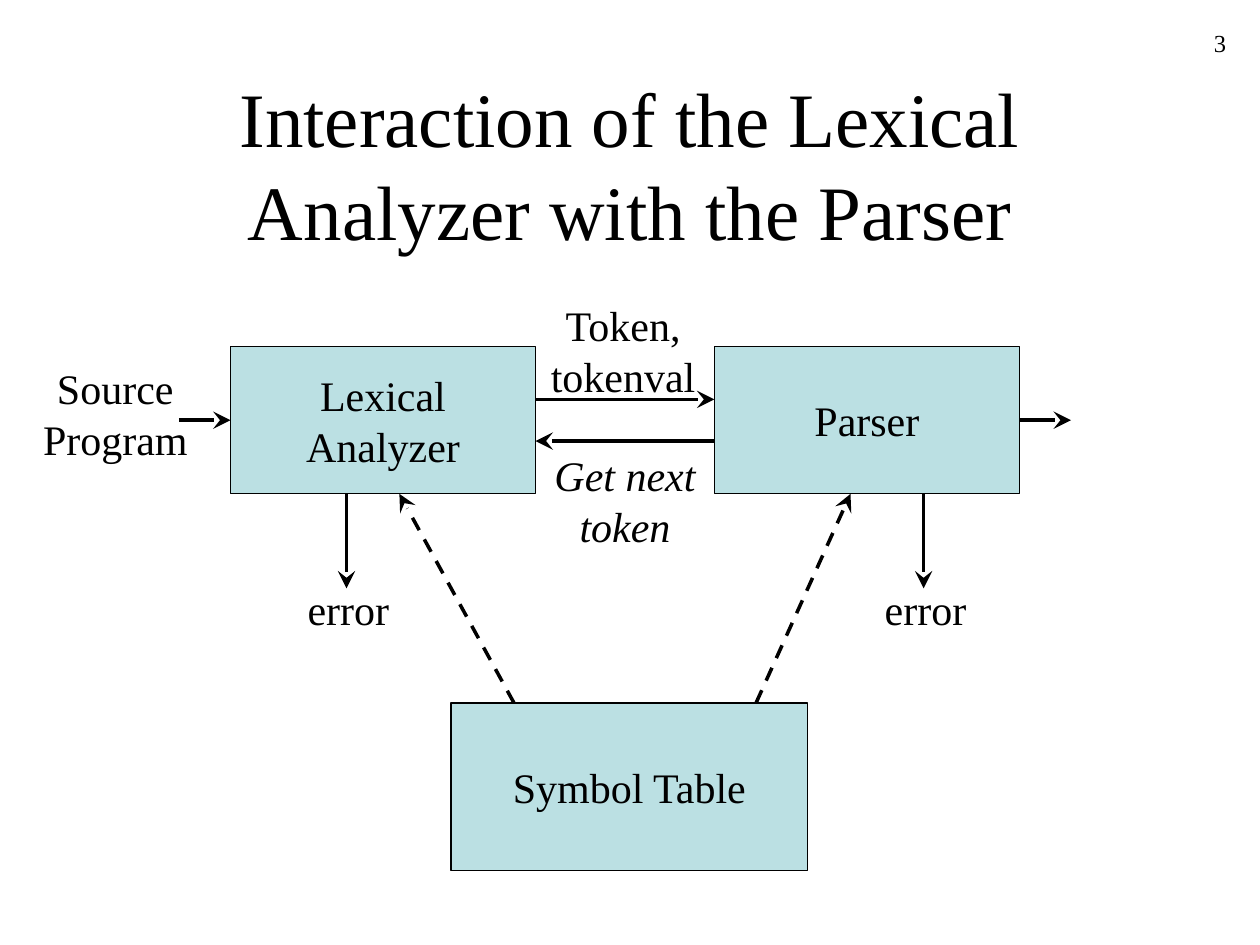
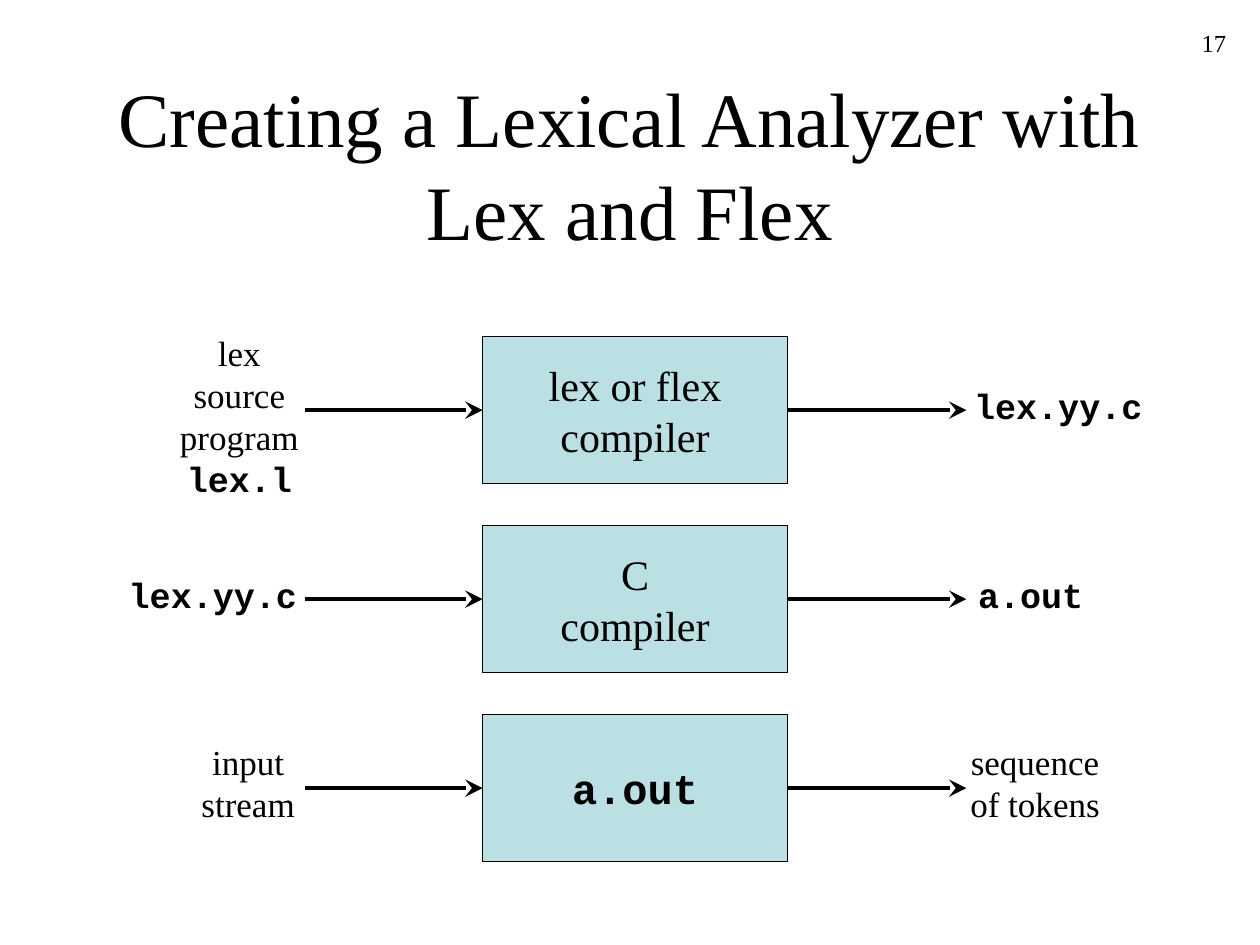
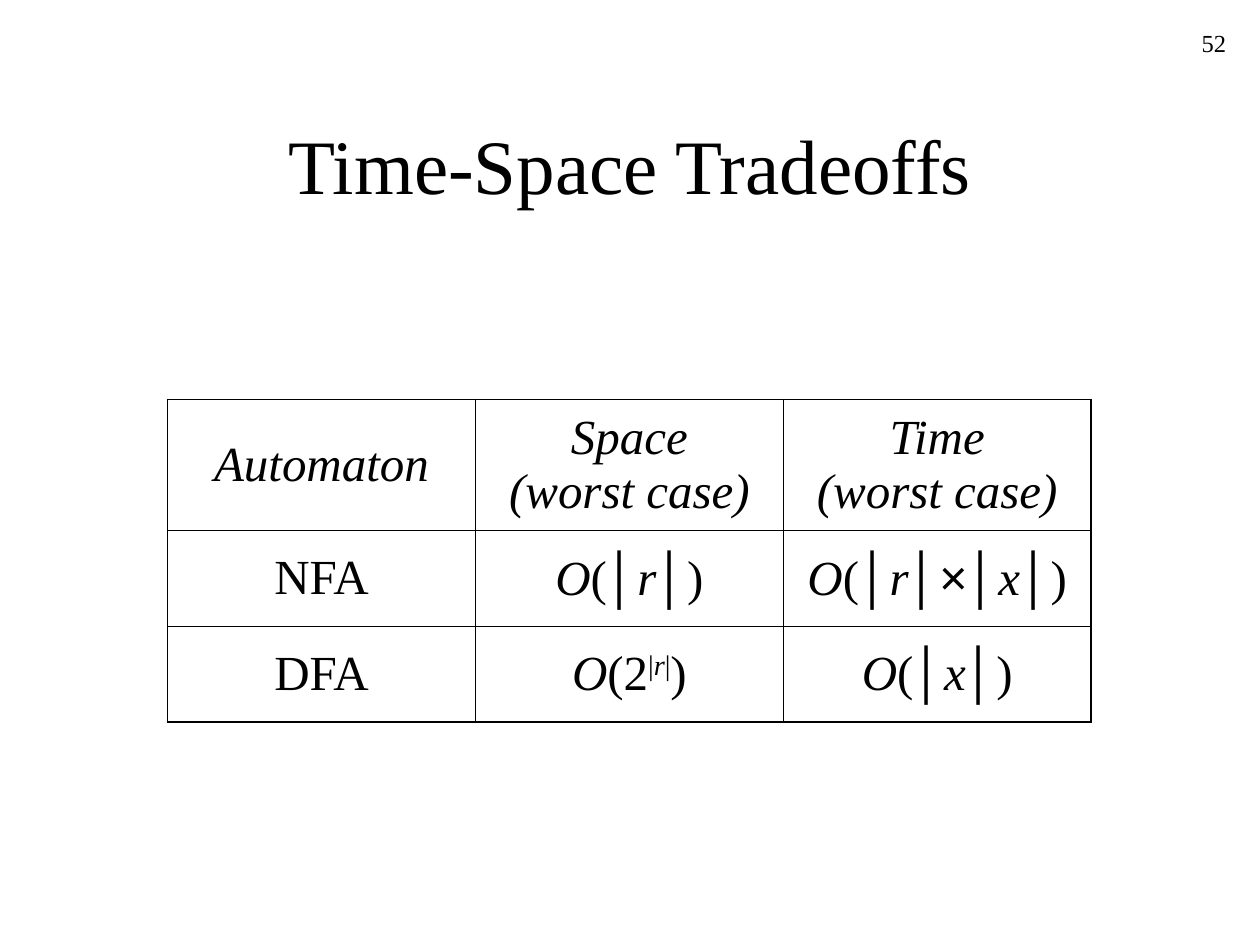
"""Build three slides on lexical analysis: two flow diagrams and a table."""
from dataclasses import dataclass

from lxml.etree import SubElement
from pptx import Presentation
from pptx.dml.color import RGBColor
from pptx.enum.dml import MSO_LINE
from pptx.enum.shapes import MSO_CONNECTOR, MSO_SHAPE
from pptx.enum.text import MSO_ANCHOR, MSO_AUTO_SIZE, PP_ALIGN
from pptx.oxml import parse_xml
from pptx.oxml.ns import nsdecls, qn
from pptx.shapes.autoshape import Shape
from pptx.shapes.connector import Connector
from pptx.slide import Slide
from pptx.table import _Cell as Cell
from pptx.text.text import _Run as Run
from pptx.util import Inches, Pt

BLACK = RGBColor(0x00, 0x00, 0x00)
PALE_TEAL = RGBColor(0xBB, 0xE0, 0xE3)
SERIF, MONO, SANS = "Times New Roman", "Courier New", "Arial"
BOX_WIDTH, BOX_HEIGHT = 2.42, 1.17
LEFT_SIDE, RIGHT_SIDE = 1, 3
Point = tuple[float, float]


@dataclass(frozen=True)
class Label:
    """Text with its place in inches and its look."""

    text: str
    left: float
    top: float
    width: float
    height: float
    size: int = 24
    font: str = SERIF
    italic: bool = False


@dataclass(frozen=True)
class Box:
    """Filled rectangle with centred text."""

    text: str
    left: float
    top: float
    width: float = BOX_WIDTH
    height: float = BOX_HEIGHT
    font: str = SERIF


@dataclass(frozen=True)
class Arrow:
    """Straight arrow between two points in inches."""

    start: Point
    end: Point
    dashed: bool = False


@dataclass(frozen=True)
class Stage:
    """Compilation step with what it reads and what it makes."""

    source: Label
    tool: str
    product: Label
    font: str = SERIF


@dataclass(frozen=True)
class Span:
    """Piece of a table entry in one style."""

    text: str
    italic: bool = False
    font: str = SERIF
    raised: bool = False


ORDER = Span("O", italic=True)
OPEN, CLOSE = Span("("), Span(")")
BAR = Span("│", font=SANS)
REGEX, INPUT = Span("r", italic=True), Span("x", italic=True)
RAISED_BAR = Span("|", raised=True)

TRADEOFFS = [
    [(Span(heading, italic=True),)
     for heading in ("Automaton", "Space\n(worst case)", "Time\n(worst case)")],
    [(Span("NFA"),),
     (ORDER, OPEN, BAR, REGEX, BAR, CLOSE),
     (ORDER, OPEN, BAR, REGEX, Span("│×│", font=SANS), INPUT, BAR, CLOSE)],
    [(Span("DFA"),),
     (ORDER, Span("(2"), RAISED_BAR, Span("r", italic=True, raised=True), RAISED_BAR, CLOSE),
     (ORDER, OPEN, BAR, INPUT, BAR, CLOSE)],
]

STAGES = [
    Stage(Label("lex\nsource\nprogram\nlex.l", 1.33, 2.58, 1.14, 1.44, 20),
          "lex or flex\ncompiler",
          Label("lex.yy.c", 7.6, 3, 1.6, 0.44, 20, MONO)),
    Stage(Label("lex.yy.c", 0.89, 4.5, 1.6, 0.44, 20, MONO),
          "C\ncompiler",
          Label("a.out", 7.63, 4.5, 1.1, 0.44, 20, MONO)),
    Stage(Label("input\nstream", 1.5, 5.83, 0.94, 0.77, 20),
          "a.out",
          Label("sequence\nof tokens", 7.6, 5.83, 1.23, 0.77, 20), MONO),
]

EXCHANGE_LABELS = [
    Label("Source\nProgram", 0.24, 2.83, 1.35, 0.9),
    Label("Token,\ntokenval", 4.27, 2.33, 1.35, 0.9),
    Label("Get next\ntoken", 4.3, 3.52, 1.32, 0.9, italic=True),
    Label("error", 2.34, 4.58, 0.85, 0.5),
    Label("error", 6.92, 4.58, 0.85, 0.5),
]

EXCHANGE_ARROWS = [
    Arrow((4.25, 3.17), (5.67, 3.17)),
    Arrow((5.67, 3.5), (4.25, 3.5)),
    Arrow((2.75, 3.92), (2.75, 4.67)),
    Arrow((7.33, 3.92), (7.33, 4.67)),
    Arrow((6, 5.58), (6.75, 3.92), dashed=True),
    Arrow((4.08, 5.58), (3.17, 3.92), dashed=True),
]


def style_run(run: Run, size: int, font: str, italic: bool = False) -> None:
    """Set the look of a run; monospaced text is bold."""
    run.font.size = Pt(size)
    run.font.name = font
    run.font.bold = font == MONO
    run.font.italic = italic
    run.font.color.rgb = BLACK


def write(shape: Shape, text: str, size: int, font: str = SERIF, italic: bool = False,
          align: PP_ALIGN = PP_ALIGN.CENTER) -> None:
    """Fill a shape with one paragraph."""
    paragraph = shape.text_frame.paragraphs[0]
    paragraph.text = text
    paragraph.alignment = align
    for run in paragraph.runs:
        style_run(run, size, font, italic)


def draw_label(slide: Slide, label: Label) -> Shape:
    """Draw text that does not wrap."""
    shape = slide.shapes.add_textbox(
        Inches(label.left), Inches(label.top), Inches(label.width), Inches(label.height))
    shape.text_frame.word_wrap = False
    shape.text_frame.auto_size = MSO_AUTO_SIZE.SHAPE_TO_FIT_TEXT
    write(shape, label.text, label.size, label.font, label.italic)
    return shape


def draw_box(slide: Slide, box: Box) -> Shape:
    """Draw a filled rectangle with its text."""
    shape = slide.shapes.add_shape(
        MSO_SHAPE.RECTANGLE, Inches(box.left), Inches(box.top),
        Inches(box.width), Inches(box.height))
    shape.shadow.inherit = False
    shape.fill.solid()
    shape.fill.fore_color.rgb = PALE_TEAL
    shape.line.color.rgb = BLACK
    shape.line.width = Pt(0.75)
    shape.text_frame.word_wrap = False
    shape.text_frame.vertical_anchor = MSO_ANCHOR.MIDDLE
    write(shape, box.text, 24, box.font)
    return shape


def draw_arrow(slide: Slide, arrow: Arrow) -> Connector:
    """Draw a line with a large stealth head at its end."""
    connector = slide.shapes.add_connector(
        MSO_CONNECTOR.STRAIGHT, *(Inches(length) for length in arrow.start + arrow.end))
    connector.line.color.rgb = BLACK
    connector.line.width = Pt(2)
    if arrow.dashed:
        connector.line.dash_style = MSO_LINE.DASH
    properties = connector._element.spPr
    SubElement(properties.find(qn("a:ln")), qn("a:tailEnd"), type="stealth", w="lg", len="lg")
    SubElement(properties, qn("a:effectLst"))
    return connector


def middle_height(box: Shape) -> float:
    """Return the height of a box's middle on the slide in inches."""
    return (box.top + box.height / 2) / Inches(1)


def draw_arrow_into(slide: Slide, start_x: float, box: Shape) -> None:
    """Draw a level arrow that ends at the left side of a box."""
    y = middle_height(box)
    arrow = Arrow((start_x, y), (box.left / Inches(1), y))
    draw_arrow(slide, arrow).end_connect(box, LEFT_SIDE)


def draw_arrow_out(slide: Slide, box: Shape, end_x: float) -> None:
    """Draw a level arrow that starts at the right side of a box."""
    y = middle_height(box)
    arrow = Arrow(((box.left + box.width) / Inches(1), y), (end_x, y))
    draw_arrow(slide, arrow).begin_connect(box, RIGHT_SIDE)


def add_page(deck: Presentation, title: str, number: int) -> Slide:
    """Add a blank slide with its title and number."""
    slide = deck.slides.add_slide(deck.slide_layouts[6])
    heading = slide.shapes.add_textbox(Inches(0.75), Inches(0.67), Inches(8.5), Inches(1.25))
    heading.text_frame.word_wrap = True
    heading.text_frame.vertical_anchor = MSO_ANCHOR.MIDDLE
    write(heading, title, 44)
    page_number = slide.shapes.add_textbox(
        Inches(7.75), Inches(0.17), Inches(2.08), Inches(0.5))
    page_number.text_frame.word_wrap = True
    write(page_number, str(number), 14, align=PP_ALIGN.RIGHT)
    return slide


def set_borders(cell: Cell, outer_sides: dict[str, bool]) -> None:
    """Give a cell thick lines on the table's edge and thin ones inside."""
    properties = cell._tc.get_or_add_tcPr()
    for position, (side, is_outer) in enumerate(outer_sides.items()):
        width = Pt(1.08 if is_outer else 0.45)
        properties.insert(position, parse_xml(
            f'<a:ln{side} {nsdecls("a")} w="{width}"><a:solidFill>'
            f'<a:srgbClr val="{BLACK}"/></a:solidFill></a:ln{side}>'))


def fill_cell(cell: Cell, spans: tuple[Span, ...]) -> None:
    """Write the spans of an entry into a cell."""
    cell.fill.background()
    cell.vertical_anchor = MSO_ANCHOR.MIDDLE
    paragraph = cell.text_frame.paragraphs[0]
    paragraph.alignment = PP_ALIGN.CENTER
    paragraph.space_before = Pt(7)
    if len(spans) == 1:
        paragraph.text = spans[0].text
        for run in paragraph.runs:
            style_run(run, 28, spans[0].font, spans[0].italic)
        return
    for span in spans:
        run = paragraph.add_run()
        run.text = span.text
        style_run(run, 28, span.font, span.italic)
        if span.raised:
            run._r.get_or_add_rPr().set("baseline", "30000")


def build_interaction(deck: Presentation) -> None:
    """Show how the lexical analyzer and the parser work together."""
    slide = add_page(deck, "Interaction of the Lexical Analyzer with the Parser", 3)
    analyzer = draw_box(slide, Box("Lexical\nAnalyzer", 1.83, 2.75))
    parser = draw_box(slide, Box("Parser", 5.67, 2.75))
    draw_box(slide, Box("Symbol Table", 3.58, 5.58, 2.83, 1.33))
    for label in EXCHANGE_LABELS:
        draw_label(slide, label)
    draw_arrow_into(slide, 1.42, analyzer)
    draw_arrow_out(slide, parser, 8.5)
    for arrow in EXCHANGE_ARROWS:
        draw_arrow(slide, arrow)


def build_compilation(deck: Presentation) -> None:
    """Show the three stages from lex source to tokens."""
    slide = add_page(deck, "Creating a Lexical Analyzer with Lex and Flex", 17)
    for index, stage in enumerate(STAGES):
        tool = draw_box(slide, Box(stage.tool, 3.83, 2.67 + 1.5 * index, font=stage.font))
        source = draw_label(slide, stage.source)
        draw_label(slide, stage.product)
        draw_arrow_into(slide, 2.42, tool)
        draw_arrow_out(slide, tool, 7.67)
        if index == 0:
            style_run(source.text_frame.paragraphs[0].runs[-1], 20, MONO)


def build_tradeoffs(deck: Presentation) -> None:
    """Compare the cost of both kinds of automaton."""
    slide = add_page(deck, "Time-Space Tradeoffs", 52)
    row_count, column_count = len(TRADEOFFS), len(TRADEOFFS[0])
    table = slide.shapes.add_table(
        row_count, column_count, Inches(1.33), Inches(3.17), Inches(7.33), Inches(2.56)).table
    table.first_row = table.horz_banding = False
    for row, height in zip(table.rows, (1.04, 0.76, 0.76)):
        row.height = Inches(height)
    for row_index, entries in enumerate(TRADEOFFS):
        for column_index, spans in enumerate(entries):
            cell = table.cell(row_index, column_index)
            fill_cell(cell, spans)
            set_borders(cell, {
                "L": column_index == 0, "R": column_index == column_count - 1,
                "T": row_index == 0, "B": row_index == row_count - 1})


def main() -> None:
    """Build and save the deck."""
    deck = Presentation()
    deck.slide_width, deck.slide_height = Inches(10), Inches(7.5)
    build_interaction(deck)
    build_compilation(deck)
    build_tradeoffs(deck)
    deck.save("out.pptx")


if __name__ == "__main__":
    main()
